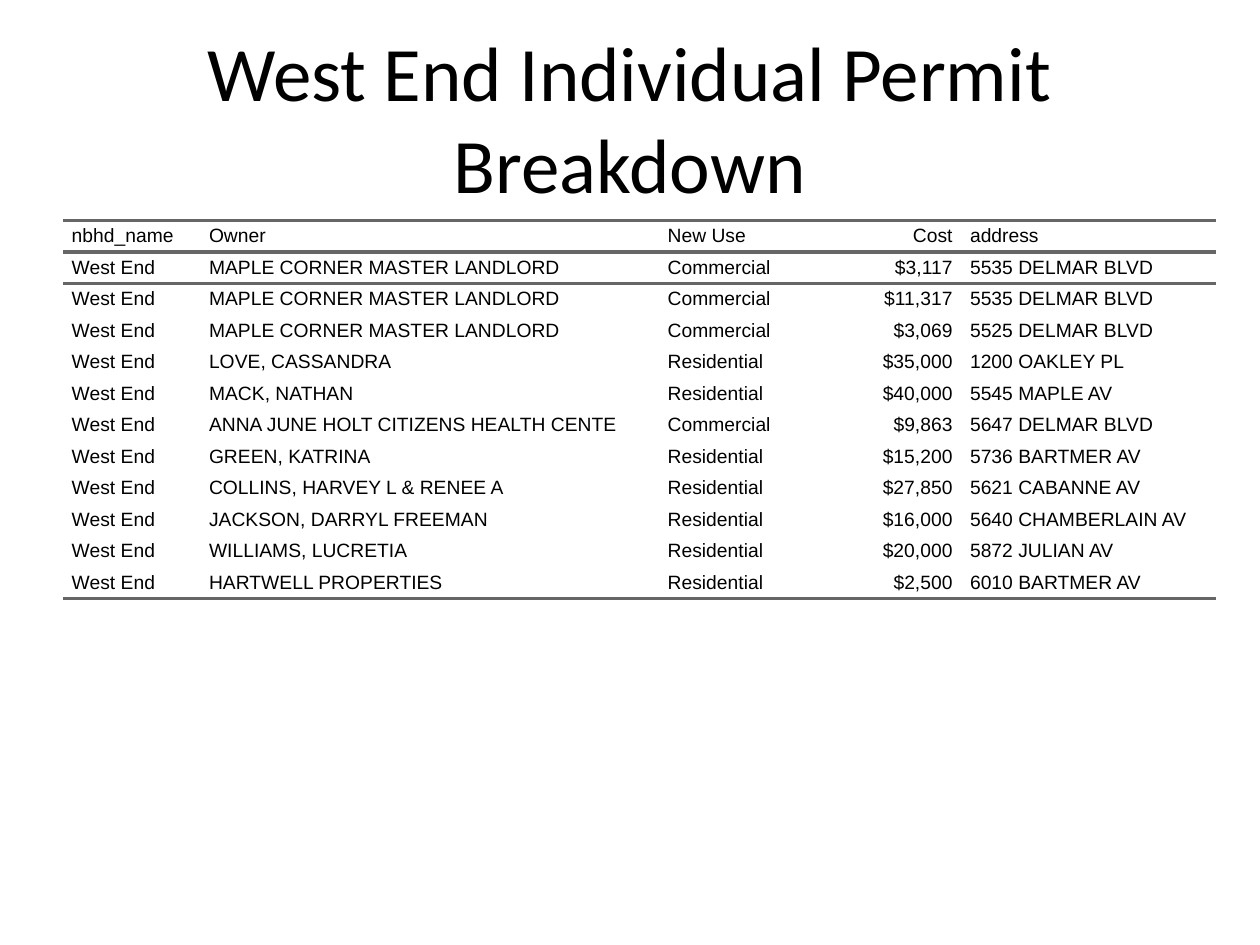
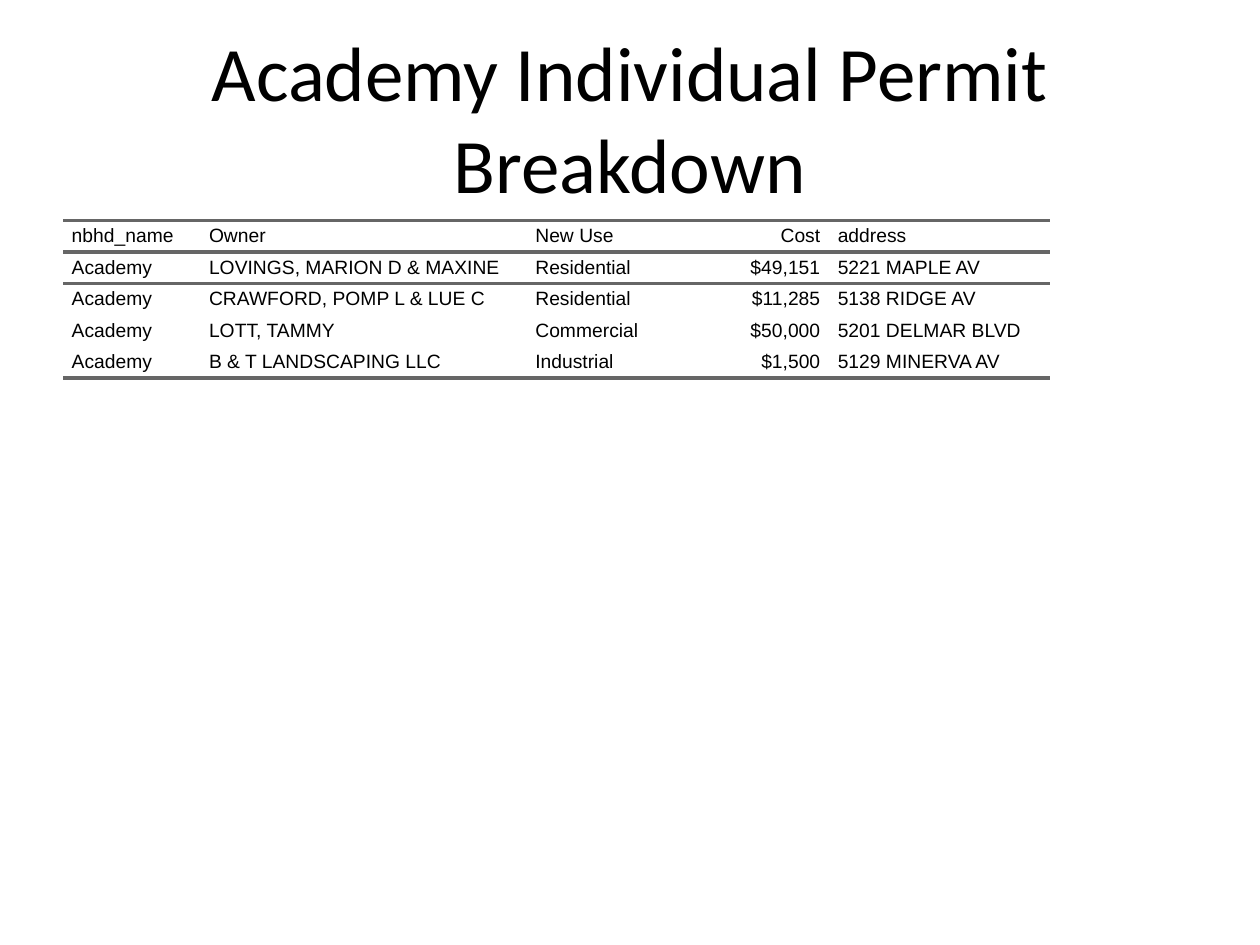
import pptx
import pptx.dml.color
import pptx.enum.text
import pptx.oxml.ns
import pptx.util
from lxml import etree

Pt = pptx.util.Pt
ALIGN = pptx.enum.text.PP_ALIGN
MIDDLE = pptx.enum.text.MSO_ANCHOR.MIDDLE

# Shared look
BLACK = pptx.dml.color.RGBColor(0x00, 0x00, 0x00)
RULE_GRAY = pptx.dml.color.RGBColor(0x66, 0x66, 0x66)
TITLE_FONT, TABLE_FONT = "Calibri", "Arial"
MARGIN_LEFT = 36
TABLE_TOP = 126
ROW_HEIGHT = 18
CELL_INSET = 5
RULE_WIDTH = 2
NO_TABLE_STYLE = "{2D5ABB26-0587-4C30-8999-92F81FD0307C}"

# Permit data
HEADER = ("nbhd_name", "Owner", "New Use", "Cost", "address")
COST_COLUMN = HEADER.index("Cost")

WEST_END_PERMITS = [
    ("MAPLE CORNER MASTER LANDLORD", "Commercial", "$3,117", "5535 DELMAR BLVD"),
    ("MAPLE CORNER MASTER LANDLORD", "Commercial", "$11,317", "5535 DELMAR BLVD"),
    ("MAPLE CORNER MASTER LANDLORD", "Commercial", "$3,069", "5525 DELMAR BLVD"),
    ("LOVE, CASSANDRA", "Residential", "$35,000", "1200 OAKLEY PL"),
    ("MACK, NATHAN", "Residential", "$40,000", "5545 MAPLE AV"),
    ("ANNA JUNE HOLT CITIZENS HEALTH CENTE", "Commercial", "$9,863", "5647 DELMAR BLVD"),
    ("GREEN, KATRINA", "Residential", "$15,200", "5736 BARTMER AV"),
    ("COLLINS, HARVEY L & RENEE A", "Residential", "$27,850", "5621 CABANNE AV"),
    ("JACKSON, DARRYL FREEMAN", "Residential", "$16,000", "5640 CHAMBERLAIN AV"),
    ("WILLIAMS, LUCRETIA", "Residential", "$20,000", "5872 JULIAN AV"),
    ("HARTWELL PROPERTIES", "Residential", "$2,500", "6010 BARTMER AV"),
]

ACADEMY_PERMITS = [
    ("LOVINGS, MARION D & MAXINE", "Residential", "$49,151", "5221 MAPLE AV"),
    ("CRAWFORD, POMP L & LUE C", "Residential", "$11,285", "5138 RIDGE AV"),
    ("LOTT, TAMMY", "Commercial", "$50,000", "5201 DELMAR BLVD"),
    ("B & T LANDSCAPING LLC", "Industrial", "$1,500", "5129 MINERVA AV"),
]

# Neighborhood, owner column width, address column width, permits
NEIGHBORHOODS = [
    ("West End", 262.08, 145.44, WEST_END_PERMITS),
    ("Academy", 186.48, 126, ACADEMY_PERMITS),
]


def write_text(frame, text, *, font, size, color=BLACK, align=ALIGN.LEFT):
    """Put one formatted paragraph in a text frame."""
    paragraph = frame.paragraphs[0]
    paragraph.alignment = align
    run = paragraph.add_run()
    run.text = text
    run.font.name = font
    run.font.size = Pt(size)
    run.font.color.rgb = color


def add_title(slide, text):
    title = slide.shapes.add_textbox(Pt(MARGIN_LEFT), Pt(21.6), Pt(648), Pt(90))
    title.text_frame.word_wrap = True
    title.text_frame.vertical_anchor = MIDDLE
    write_text(title.text_frame, text, font=TITLE_FONT, size=44, align=ALIGN.CENTER)


def add_rule(cell, edge):
    """Draw a gray line on the top ("lnT") or bottom ("lnB") of a cell."""
    qn = pptx.oxml.ns.qn
    rule = etree.SubElement(cell._tc.get_or_add_tcPr(), qn(f"a:{edge}"),
                            w=str(Pt(RULE_WIDTH)))
    fill = etree.SubElement(rule, qn("a:solidFill"))
    etree.SubElement(fill, qn("a:srgbClr"), val=str(RULE_GRAY))


def fill_cell(cell, text, align, edges):
    cell.margin_left = cell.margin_right = Pt(CELL_INSET)
    cell.margin_top = cell.margin_bottom = 0
    cell.vertical_anchor = MIDDLE
    for edge in edges:
        add_rule(cell, edge)
    cell.fill.background()
    write_text(cell.text_frame, text, font=TABLE_FONT, size=11, align=align)


def add_permit_table(slide, rows, widths):
    frame = slide.shapes.add_table(
        len(rows), len(widths), Pt(MARGIN_LEFT), Pt(TABLE_TOP),
        Pt(sum(widths)), Pt(ROW_HEIGHT * len(rows)))
    table = frame.table
    table.first_row = table.horz_banding = False
    table._tbl.tblPr.find(pptx.oxml.ns.qn("a:tableStyleId")).text = NO_TABLE_STYLE
    for column, width in zip(table.columns, widths):
        column.width = Pt(width)

    # Rules frame the header and close the last row
    edges = {0: ("lnT", "lnB"), 1: ("lnT",), len(rows) - 1: ("lnB",)}
    for row_index, row in enumerate(rows):
        table.rows[row_index].height = Pt(ROW_HEIGHT)
        for column_index, text in enumerate(row):
            align = ALIGN.RIGHT if column_index == COST_COLUMN else ALIGN.LEFT
            fill_cell(table.cell(row_index, column_index), text, align,
                      edges.get(row_index, ()))


def main():
    deck = pptx.Presentation()
    deck.slide_width, deck.slide_height = Pt(720), Pt(540)
    blank = deck.slide_layouts[6]

    # One slide per neighborhood
    for neighborhood, owner_width, address_width, permits in NEIGHBORHOODS:
        slide = deck.slides.add_slide(blank)
        add_title(slide, f"{neighborhood} Individual Permit Breakdown")
        rows = [HEADER] + [(neighborhood, *permit) for permit in permits]
        add_permit_table(slide, rows, (78.48, owner_width, 79.2, 93.6, address_width))

    deck.save("out.pptx")


if __name__ == "__main__":
    main()
